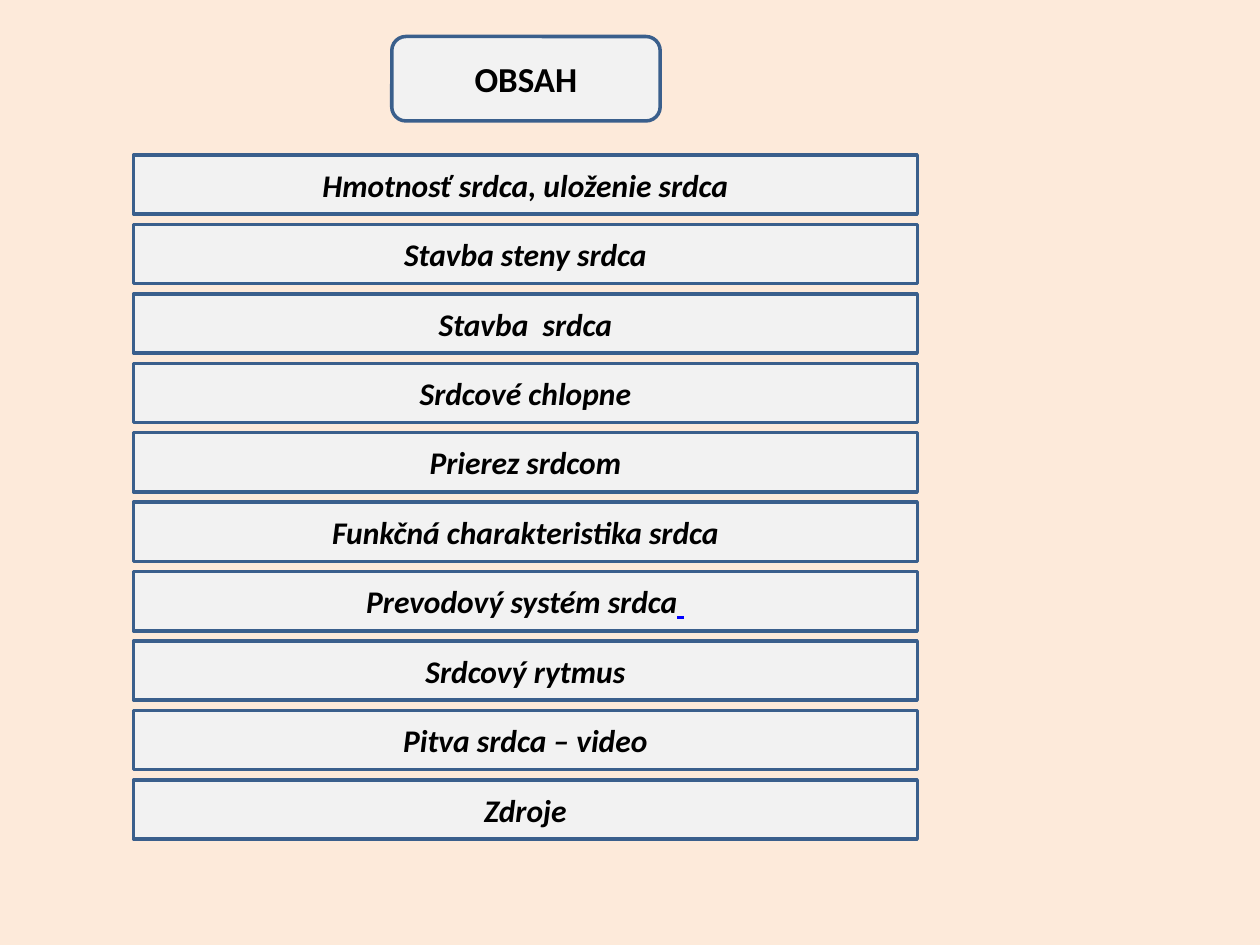
from pptx import Presentation
from pptx.dml.color import RGBColor
from pptx.enum.shapes import MSO_SHAPE
from pptx.enum.text import MSO_ANCHOR, PP_ALIGN
from pptx.util import Inches, Pt

TITLE_SHAPE = MSO_SHAPE.FLOWCHART_ALTERNATE_PROCESS
TOPIC_SHAPE = MSO_SHAPE.FLOWCHART_PROCESS
MIDDLE = MSO_ANCHOR.MIDDLE
CENTER = PP_ALIGN.CENTER

PEACH = RGBColor(0xFD, 0xEA, 0xDA)
PALE_GRAY = RGBColor(0xF2, 0xF2, 0xF2)
STEEL_BLUE = RGBColor(0x3A, 0x5F, 0x8C)
BLACK = RGBColor(0, 0, 0)
LINK_BLUE = RGBColor(0, 0, 0xFF)

TITLE_FONT = {"name": "Calibri", "size": Pt(20), "bold": True}
TOPIC_FONT = {"name": "Calibri", "size": Pt(18), "bold": True, "italic": True}
LINK_FONT = {**TOPIC_FONT, "underline": True}

FIRST_TOP, LAST_TOP = 1.23, 6.19
TOPICS = [
    "Hmotnosť srdca, uloženie srdca",
    "Stavba steny srdca",
    "Stavba  srdca",
    "Srdcové chlopne",
    "Prierez srdcom",
    "Funkčná charakteristika srdca",
    "Prevodový systém srdca",
    "Srdcový rytmus",
    "Pitva srdca – video",
    "Zdroje",
]
LINKED_TOPIC = "Prevodový systém srdca"


class ContentsSlide:
    def __init__(self, presentation):
        self.slide = presentation.slides.add_slide(presentation.slide_layouts[6])
        self.fill, self.outline, self.outline_width = PALE_GRAY, STEEL_BLUE, Pt(2)

    def background(self, color):
        fill = self.slide.background.fill
        fill.solid()
        fill.fore_color.rgb = color

    def text(self, paragraph, wording, style, color=BLACK):
        run = paragraph.add_run()
        run.text = wording
        for attribute, value in style.items():
            setattr(run.font, attribute, value)
        run.font.color.rgb = color

    def box(self, kind, left, top, width, height, wording, style):
        panel = self.slide.shapes.add_shape(
            kind, Inches(left), Inches(top), Inches(width), Inches(height)
        )
        panel.shadow.inherit = False
        panel.fill.solid()
        panel.fill.fore_color.rgb = self.fill
        panel.line.color.rgb = self.outline
        panel.line.width = self.outline_width
        panel.text_frame.word_wrap = True
        panel.text_frame.vertical_anchor = MIDDLE
        paragraph = panel.text_frame.paragraphs[0]
        paragraph.alignment = CENTER
        self.text(paragraph, wording, style)
        return paragraph


def main():
    presentation = Presentation()
    presentation.slide_width, presentation.slide_height = Inches(10), Inches(7.5)
    contents = ContentsSlide(presentation)
    contents.background(PEACH)
    contents.box(TITLE_SHAPE, 3.11, 0.29, 2.13, 0.67, "OBSAH", TITLE_FONT)
    pitch = (LAST_TOP - FIRST_TOP) / (len(TOPICS) - 1)
    for row, topic in enumerate(TOPICS):
        entry = contents.box(
            TOPIC_SHAPE, 1.06, FIRST_TOP + row * pitch, 6.22, 0.47, topic, TOPIC_FONT
        )
        if topic == LINKED_TOPIC:
            contents.text(entry, " ", LINK_FONT, LINK_BLUE)
    presentation.save("out.pptx")


if __name__ == "__main__":
    main()
